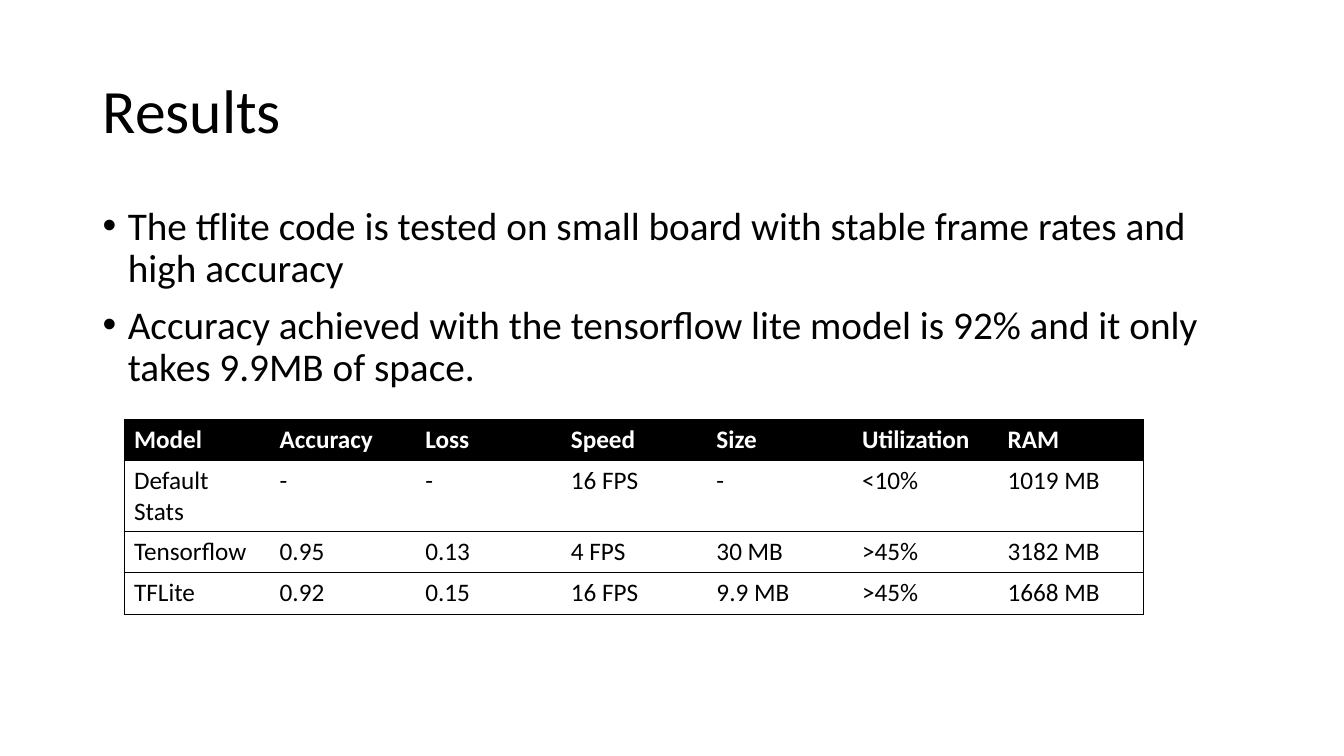
from lxml.etree import SubElement
from pptx import Presentation
from pptx.dml.color import RGBColor
from pptx.enum.text import MSO_ANCHOR
from pptx.oxml.ns import qn
from pptx.util import Pt

PX = 9144
FONT = "Calibri"
COLORS = {"black": "000000", "white": "FFFFFF"}
BULLETS = [
    "The tflite code is tested on small board with stable frame rates and high accuracy",
    "Accuracy achieved with the tensorflow lite model is 92% and it only takes 9.9MB of space.",
]
RESULTS = [
    ["Model", "Accuracy", "Loss", "Speed", "Size", "Utilization", "RAM"],
    ["Default Stats", "-", "-", "16 FPS", "-", "<10%", "1019 MB"],
    ["Tensorflow", "0.95", "0.13", "4 FPS", "30 MB", ">45%", "3182 MB"],
    ["TFLite", "0.92", "0.15", "16 FPS", "9.9 MB", ">45%", "1668 MB"],
]


def style_paragraph(para, size, color="black", bold=False):
    para.font.name = FONT
    para.font.size = Pt(size)
    para.font.bold = bold
    para.font.color.rgb = RGBColor.from_string(COLORS[color])


def add_text(page, left, top, width, height, lines, size, anchor):
    box = page.shapes.add_textbox(left * PX, top * PX, width * PX, height * PX)
    frame = box.text_frame
    frame.word_wrap = True
    frame.vertical_anchor = anchor
    frame.text = "\n".join(lines)
    for para in frame.paragraphs:
        style_paragraph(para, size)
        para.line_spacing = 0.9
    return frame.paragraphs


def add_bullet(para):
    para.space_before = Pt(10)
    properties = para._p.get_or_add_pPr()
    properties.set("marL", str(25 * PX))
    properties.set("indent", str(-25 * PX))
    bullet_font = SubElement(properties, qn("a:buFont"))
    bullet_font.set("typeface", "Arial")
    bullet = SubElement(properties, qn("a:buChar"))
    bullet.set("char", "•")
    properties.append(properties.find(qn("a:defRPr")))


def set_borders(cell, visible_sides):
    properties = cell._tc.get_or_add_tcPr()
    for side in "LRTB":
        line = SubElement(properties, qn(f"a:ln{side}"), w=str(Pt(0.5)))
        if side in visible_sides:
            fill = SubElement(line, qn("a:solidFill"))
            SubElement(fill, qn("a:srgbClr"), val=COLORS["black"])
        else:
            SubElement(line, qn("a:noFill"))


def style_cell(cell, is_header, visible_sides):
    set_borders(cell, visible_sides)
    if is_header:
        cell.fill.solid()
        cell.fill.fore_color.rgb = RGBColor.from_string(COLORS["black"])
    else:
        cell.fill.background()
    color = "white" if is_header else "black"
    style_paragraph(cell.text_frame.paragraphs[0], 18, color, is_header)


def add_results_table(page, left, top, width, row_height, rows):
    last = len(rows[0]) - 1
    table = page.shapes.add_table(
        len(rows), len(rows[0]), left * PX, top * PX,
        width * PX, row_height * len(rows) * PX,
    ).table
    for row_index, row in enumerate(rows):
        for column_index, value in enumerate(row):
            cell = table.cell(row_index, column_index)
            cell.text = value
            sides = "TB" + "L" * (column_index == 0) + "R" * (column_index == last)
            style_cell(cell, row_index == 0, sides)


def main():
    deck = Presentation()
    deck.slide_width, deck.slide_height = 1333 * PX, 750 * PX
    page = deck.slides.add_slide(deck.slide_layouts[6])
    add_text(page, 92, 40, 1150, 145, ["Results"], 44, MSO_ANCHOR.MIDDLE)
    for para in add_text(page, 92, 200, 1150, 476, BULLETS, 28, MSO_ANCHOR.TOP):
        add_bullet(para)
    add_results_table(page, 123, 416, 1011, 41, RESULTS)
    deck.save("out.pptx")


if __name__ == "__main__":
    main()
